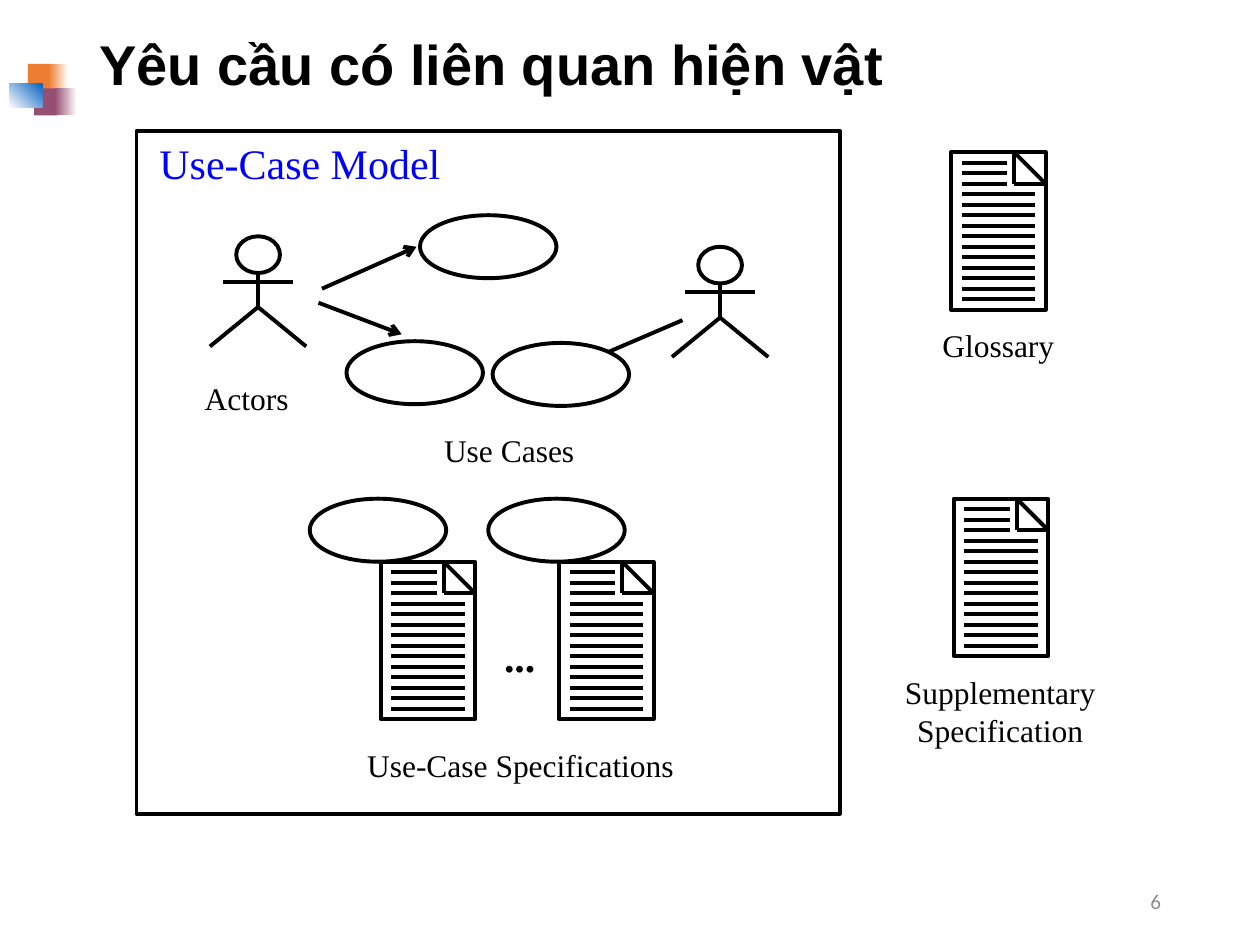
"""Builds the slide on requirements artifacts: use-case model, glossary and supplementary specification."""
from dataclasses import dataclass
from typing import Any

from lxml import etree
from pptx import Presentation
from pptx import util as u
from pptx.dml.color import RGBColor
from pptx.enum import shapes, text
from pptx.oxml import ns

COLOURS = {"ink": "000000", "heading": "0000FF", "orange": "ED7D31", "plum": "954F72",
           "blue": "0563C1", "white": "FFFFFF", "number": "8C8C8C"}
STROKE = 2.25
USE_CASE_SIZE = (78, 36)
PAGE_SIZE = (54, 90)
FOLD = 18
TEXT_LINES = 14
SHORT_LINES = 3
LINE_PITCH = 6


@dataclass
class Point:
    x: float
    y: float


@dataclass
class Label:
    wording: str
    left: float
    top: float
    width: float
    height: float
    size: float = 18
    font: str = "Times New Roman"
    colour: str = "ink"
    bold: bool = False
    wrap: bool = True
    align: Any = text.PP_ALIGN.CENTER
    anchor: Any = text.MSO_ANCHOR.TOP


@dataclass
class Tile:
    left: float
    top: float
    width: float
    height: float
    start: str
    end: str = ""
    angle: float = 0


@dataclass
class Link:
    start: Point
    end: Point
    arrow: bool = False


TILES = [
    Tile(16, 36.5, 14.5, 16, "orange"),
    Tile(28, 36.5, 11, 16, "orange", "white"),
    Tile(19.5, 50.5, 13.5, 15.5, "plum"),
    Tile(31.5, 50.5, 12.5, 15.5, "plum", "white"),
    Tile(5.5, 47.5, 19, 14, "white", "blue", 45),
]
ARTIFACTS = [Point(545, 285), Point(543.5, 87)]
SPECIFICATIONS = [Point(217.5, 321), Point(319.5, 321)]
ACTORS = [Point(120, 135), Point(384, 141)]
USE_CASES = [Point(240, 123), Point(198, 195), Point(281.5, 196)]
LINKS = [
    Link(Point(184, 165), Point(238, 141), True),
    Link(Point(182, 173), Point(229.5, 191), True),
    Link(Point(348, 201), Point(390, 183)),
]
LABELS = [
    Label("Supplementary\nSpecification", 504, 381, 135, 50.5, wrap=False),
    Label("Glossary", 527.5, 183, 86, 29, wrap=False),
    Label("Use-Case Specifications", 192.5, 423, 210, 29, wrap=False),
    Label("...", 279, 357, 36, 36, size=24, bold=True),
    Label("Use-Case Model", 84, 75, 214, 36, size=24, colour="heading", align=text.PP_ALIGN.LEFT),
    Label("Actors", 102, 213, 78, 29),
    Label("Use Cases", 234, 243, 114, 29),
    Label("6", 508.5, 500.5, 162, 29, size=12, font="Calibri", colour="number",
          align=text.PP_ALIGN.RIGHT, anchor=text.MSO_ANCHOR.MIDDLE),
]


def rgb(name: str) -> RGBColor:
    """Return the named colour."""
    return RGBColor.from_string(COLOURS[name])


def format_text(frame: Any, label: Label) -> None:
    """Write a label into a text frame and style it."""
    frame.text = label.wording
    frame.word_wrap = label.wrap
    frame.vertical_anchor = label.anchor
    for para in frame.paragraphs:
        para.alignment = label.align
        for span in para.runs:
            span.font.name = label.font
            span.font.size = u.Pt(label.size)
            span.font.bold = label.bold
            span.font.color.rgb = rgb(label.colour)


def draw_label(target: Any, label: Label) -> None:
    """Add a text box for a label."""
    box = target.add_textbox(u.Pt(label.left), u.Pt(label.top), u.Pt(label.width), u.Pt(label.height))
    format_text(box.text_frame, label)


def outline(shape: Any) -> None:
    """Give a shape a plain ink outline without fill or shadow."""
    shape.shadow.inherit = False
    shape.fill.background()
    shape.line.color.rgb = rgb("ink")
    shape.line.width = u.Pt(STROKE)


def draw_outline(target: Any, kind: Any, left: float, top: float, width: float, height: float) -> None:
    """Add an outlined preset shape."""
    outline(target.add_shape(kind, u.Pt(left), u.Pt(top), u.Pt(width), u.Pt(height)))


def draw_line(target: Any, start: Point, end: Point, arrow: bool = False) -> None:
    """Add a straight connector, with an open arrowhead if asked."""
    line = target.add_connector(shapes.MSO_CONNECTOR.STRAIGHT,
                                u.Pt(start.x), u.Pt(start.y), u.Pt(end.x), u.Pt(end.y))
    line.line.color.rgb = rgb("ink")
    line.line.width = u.Pt(STROKE)
    if arrow:
        etree.SubElement(line.line._get_or_add_ln(), ns.qn("a:tailEnd"), type="arrow")
    etree.SubElement(line._element.spPr, ns.qn("a:effectLst"))


def draw_use_case(target: Any, corner: Point) -> None:
    """Add a use-case oval."""
    draw_outline(target, shapes.MSO_SHAPE.OVAL, corner.x, corner.y, *USE_CASE_SIZE)


def draw_document(target: Any, corner: Point) -> None:
    """Add a written page with a folded corner."""
    x, y = corner.x, corner.y
    draw_outline(target, shapes.MSO_SHAPE.RECTANGLE, x, y, *PAGE_SIZE)
    right = x + PAGE_SIZE[0]
    top, inner, outer = Point(right - FOLD, y), Point(right - FOLD, y + FOLD), Point(right, y + FOLD)
    for start, end in ((top, outer), (top, inner), (outer, inner)):
        draw_line(target, start, end)
    for row in range(1, TEXT_LINES + 1):
        level = y + row * LINE_PITCH
        length = 26 if row <= SHORT_LINES else 42
        draw_line(target, Point(x + 6, level), Point(x + 6 + length, level))


def draw_actor(target: Any, corner: Point) -> None:
    """Add a stick figure."""
    x, y = corner.x, corner.y
    draw_outline(target, shapes.MSO_SHAPE.OVAL, x + 15, y, 25, 21)
    draw_line(target, Point(x + 27.5, y + 21), Point(x + 27.5, y + 40.5))
    draw_line(target, Point(x + 7.5, y + 26), Point(x + 47.5, y + 26))
    legs = target.build_freeform(u.Pt(x), u.Pt(y + 63))
    legs.add_line_segments([(u.Pt(x + 27.5), u.Pt(y + 40.5)), (u.Pt(x + 55), u.Pt(y + 63))], close=False)
    outline(legs.convert_to_shape())


def draw_tile(target: Any, tile: Tile) -> None:
    """Add a borderless tile with a solid or gradient fill."""
    shape = target.add_shape(shapes.MSO_SHAPE.RECTANGLE, u.Pt(tile.left), u.Pt(tile.top),
                             u.Pt(tile.width), u.Pt(tile.height))
    shape.shadow.inherit = False
    shape.line.fill.background()
    if tile.end:
        shape.fill.gradient()
        shape.fill.gradient_angle = tile.angle
        for stop, name in zip(shape.fill.gradient_stops, (tile.start, tile.end)):
            stop.color.rgb = rgb(name)
    else:
        shape.fill.solid()
        shape.fill.fore_color.rgb = rgb(tile.start)


def main() -> None:
    """Build and save the deck."""
    deck = Presentation()
    deck.slide_width, deck.slide_height = u.Pt(720), u.Pt(540)
    page = deck.slides.add_slide(deck.slide_layouts[5])
    canvas = page.shapes
    title = canvas.title
    title.left, title.top, title.width, title.height = u.Pt(49.5), u.Pt(9.5), u.Pt(621), u.Pt(58)
    format_text(title.text_frame, Label("Yêu cầu có liên quan hiện vật", 49.5, 9.5, 621, 58, size=32, font="Arial",
                                        bold=True, align=text.PP_ALIGN.LEFT, anchor=text.MSO_ANCHOR.MIDDLE))
    title.text_frame.auto_size = text.MSO_AUTO_SIZE.NONE
    title.text_frame.paragraphs[0].line_spacing = 0.9
    emblem = canvas.add_group_shape().shapes
    for tile in TILES:
        draw_tile(emblem, tile)
    draw_outline(canvas, shapes.MSO_SHAPE.RECTANGLE, 78, 75, 402, 390)
    for corner in ARTIFACTS:
        draw_document(canvas.add_group_shape().shapes, corner)
    for corner in SPECIFICATIONS:
        group = canvas.add_group_shape().shapes
        draw_use_case(group, Point(corner.x - 40.5, corner.y - USE_CASE_SIZE[1]))
        draw_document(group, corner)
    for corner in ACTORS:
        draw_actor(canvas.add_group_shape().shapes, corner)
    for corner in USE_CASES:
        draw_use_case(canvas, corner)
    for link in LINKS:
        draw_line(canvas, link.start, link.end, link.arrow)
    for label in LABELS:
        draw_label(canvas, label)
    deck.save("out.pptx")


if __name__ == "__main__":
    main()
